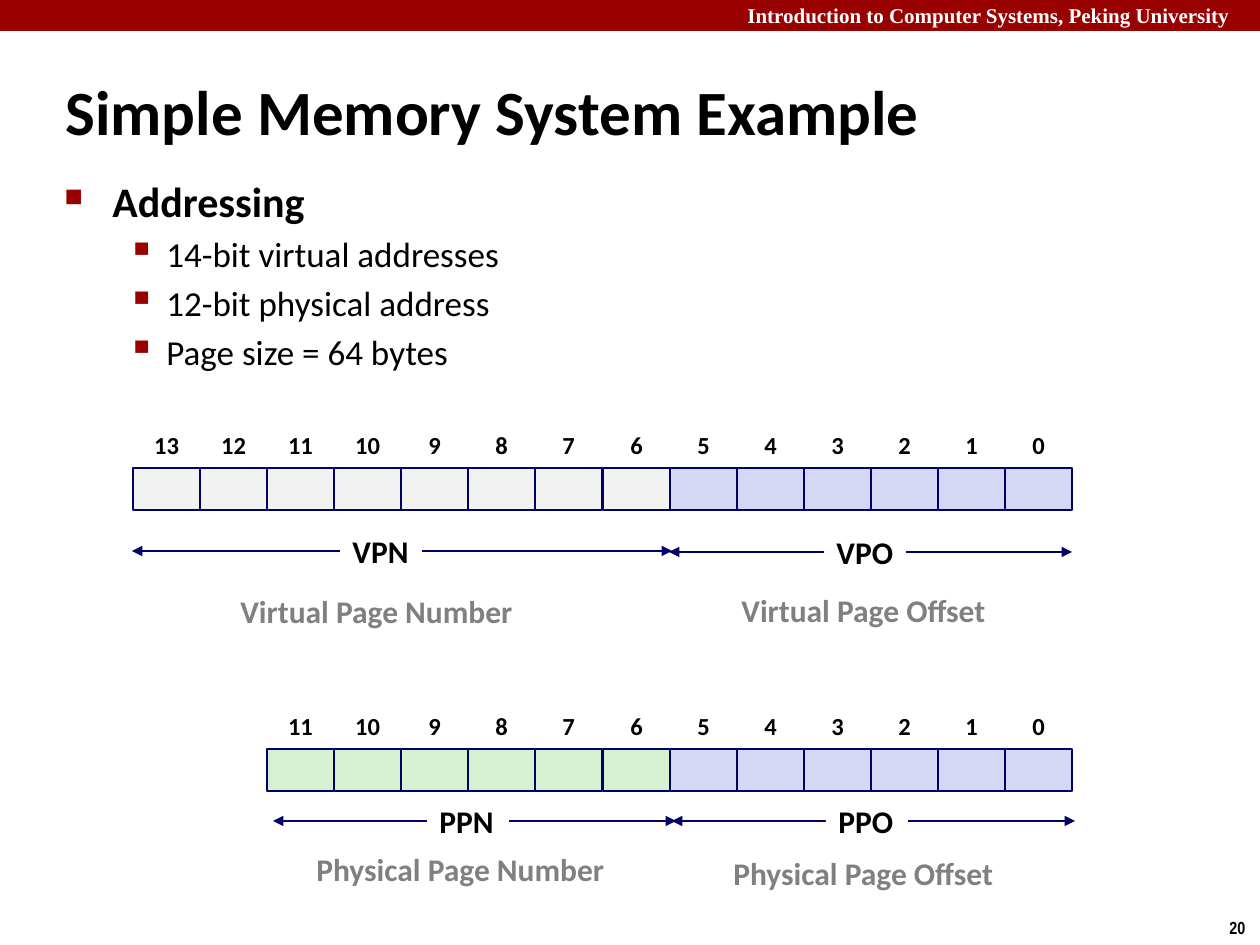
from lxml import etree
from pptx import Presentation, util as u
from pptx.dml.color import RGBColor
from pptx.enum import shapes, text
from pptx.oxml.ns import qn

COLORS = {
    "band": "990000", "ink": "000000", "paper": "FFFFFF", "line": "000066", "muted": "808080",
    "virtual": "F2F2F2", "physical": "D5F1CF", "offset": "D6D6F5",
}
LEFT, CENTER = text.PP_ALIGN.LEFT, text.PP_ALIGN.CENTER
TOP, MIDDLE = text.MSO_ANCHOR.TOP, text.MSO_ANCHOR.MIDDLE


def px(n):
    return u.Emu(round(n * 914400 / 126))


def color(name):
    return RGBColor.from_string(COLORS[name])


def assign(target, values):
    for name, value in values.items():
        setattr(target, name, value)


class SlideBuilder:
    font = "Calibri"
    line_width = u.Pt(0.75)

    def __init__(self, prs):
        self.s = prs.slides.add_slide(prs.slide_layouts[5])

    def add_words(self, p, words, size, ink="ink", bold=True, font=None, **layout):
        assign(p, layout)
        r = p.add_run()
        r.text = words
        assign(r.font, {"size": u.Pt(size), "bold": bold, "name": font or self.font})
        r.font.color.rgb = color(ink)

    def title(self, x, y, w, h, words):
        sp = self.s.shapes.title
        assign(sp, {"left": px(x), "top": px(y), "width": px(w), "height": px(h)})
        tf = sp.text_frame
        assign(tf, {"vertical_anchor": MIDDLE, "word_wrap": True, "auto_size": text.MSO_AUTO_SIZE.NONE})
        self.add_words(tf.paragraphs[0], words, 36, alignment=LEFT)

    def box(self, x, y, w, h, fill, line=None):
        sp = self.s.shapes.add_shape(shapes.MSO_SHAPE.RECTANGLE, px(x), px(y), px(w), px(h))
        sp.shadow.inherit = False
        sp.fill.solid()
        sp.fill.fore_color.rgb = color(fill)
        if line:
            sp.line.color.rgb = color(line)
            sp.line.width = self.line_width
        else:
            sp.line.fill.background()

    def label(self, x, y, w, h, words, size, fill=None, anchor=TOP, wrap=False, **style):
        sp = self.s.shapes.add_textbox(px(x), px(y), px(w), px(h))
        if fill:
            sp.fill.solid()
            sp.fill.fore_color.rgb = color(fill)
        tf = sp.text_frame
        assign(tf, {"word_wrap": wrap, "vertical_anchor": anchor})
        self.add_words(tf.paragraphs[0], words, size, **style)

    def bullets(self, x, y, w, h, items):
        tf = self.s.shapes.add_textbox(px(x), px(y), px(w), px(h)).text_frame
        tf.word_wrap = True
        for i, (level, words) in enumerate(items):
            p = tf.add_paragraph() if i else tf.paragraphs[0]
            mark, scale, size, margin, hang = (("■", 60, 24, 48, 48), ("▪", 110, 20, 102, 39))[level]
            self.add_words(p, words, size, bold=level == 0, level=level, space_before=u.Pt(size / 5))
            pPr = p._p.get_or_add_pPr()
            pPr.set("marL", str(px(margin)))
            pPr.set("indent", str(-px(hang)))
            clr = etree.SubElement(pPr, qn("a:buClr"))
            etree.SubElement(clr, qn("a:srgbClr"), val=COLORS["band"])
            etree.SubElement(pPr, qn("a:buSzPct"), val=str(scale * 1000))
            etree.SubElement(pPr, qn("a:buChar"), char=mark)

    def arrow(self, x1, x2, y):
        c = self.s.shapes.add_connector(shapes.MSO_CONNECTOR.STRAIGHT, px(x1), px(y), px(x2), px(y))
        c.line.color.rgb = color("line")
        c.line.width = self.line_width
        spPr = c._element.spPr
        ln = spPr.find(qn("a:ln"))
        for end in ("a:headEnd", "a:tailEnd"):
            etree.SubElement(ln, qn(end), type="triangle")
        etree.SubElement(spPr, qn("a:effectLst"))

    def bits(self, count, y, fill):
        for bit in reversed(range(count)):
            x = 1005 - 470 * bit // 7
            self.box(x, y, 67, 42, "offset" if bit < 6 else fill, "line")
            self.label(x, y - 42, 67, 42, str(bit), 14, anchor=MIDDLE, alignment=CENTER,
                       line_spacing=0.88, space_before=u.Pt(5.2))

    def field(self, span, y, short, short_x, full, full_x, full_y, full_w):
        spacing = {"line_spacing": 0.88, "space_before": u.Pt(6.8)}
        self.arrow(*span, y)
        self.label(short_x, y - 20, 82, 45, short, 18, fill="paper", **spacing)
        self.label(full_x, full_y, full_w, 45, full, 18, ink="muted", **spacing)


def main():
    prs = Presentation()
    assign(prs, {"slide_width": px(1260), "slide_height": px(945)})
    b = SlideBuilder(prs)
    b.box(0, 0, 1260, 31, "band")
    b.label(735, -4, 534, 38, "Introduction to Computer Systems, Peking University", 12,
            wrap=True, ink="paper", font="Times New Roman")
    b.label(1217, 911, 43, 34, "20", 10, font="Arial Narrow")
    b.title(53, 71, 1007, 79, "Simple Memory System Example")
    b.bullets(52, 169, 1145, 218, [
        (0, "Addressing"),
        (1, "14-bit virtual addresses"),
        (1, "12-bit physical address"),
        (1, "Page size = 64 bytes"),
    ])
    b.bits(14, 468, "virtual")
    b.bits(12, 749, "physical")
    for field in (
        ((669, 1072), 552, "VPO", 824, "Virtual Page Offset", 729, 590, 272),
        ((672, 1075), 821, "PPO", 826, "Physical Page Offset", 721, 853, 289),
        ((273, 676), 821, "PPN", 427, "Physical Page Number", 304, 849, 315),
        ((132, 672), 551, "VPN", 340, "Virtual Page Number", 228, 591, 300),
    ):
        b.field(*field)
    prs.save("out.pptx")


if __name__ == "__main__":
    main()
